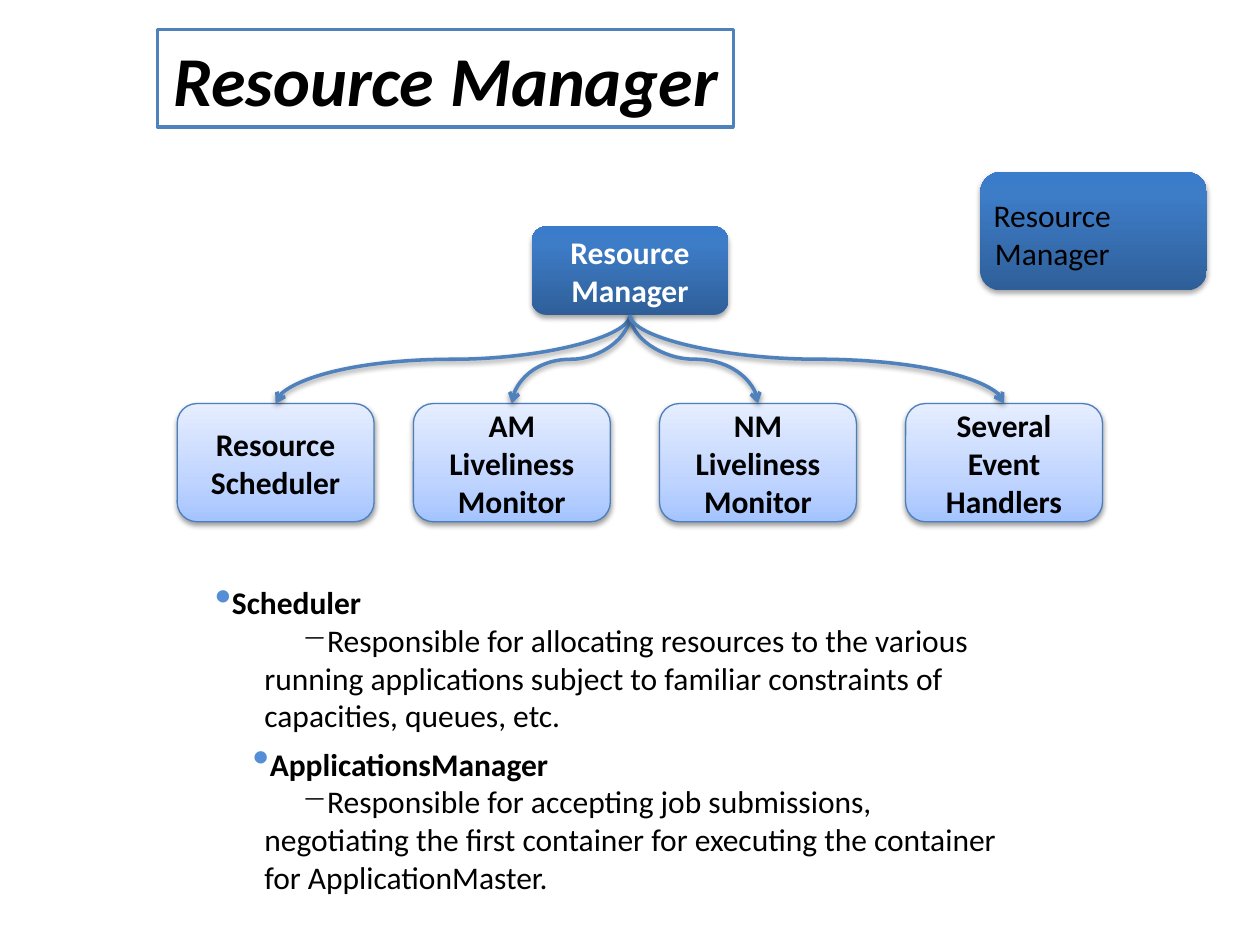
from lxml.etree import SubElement
from pptx import Presentation
from pptx.dml.color import RGBColor
from pptx.enum.shapes import MSO_CONNECTOR as Link, MSO_SHAPE as Preset
from pptx.enum.text import MSO_ANCHOR as Anchor, MSO_AUTO_SIZE as Fit, PP_ALIGN as Align
from pptx.oxml.ns import qn
from pptx.util import Inches, Pt

color = RGBColor.from_string
prs = Presentation()
prs.slide_width, prs.slide_height = Inches(10), Inches(7.5)
slide = prs.slides.add_slide(prs.slide_layouts[6])
UNIT = prs.slide_width / 128  # square grid, 128 columns by 96 rows


def cells(*counts):
    return [round(count * UNIT) for count in counts]


def add_shadow(properties, alpha, distance):
    """Replace any effects with a soft black shadow that falls straight down."""
    for old in properties.findall(qn("a:effectLst")):
        properties.remove(old)
    effects = SubElement(properties, qn("a:effectLst"))
    outer = SubElement(effects, qn("a:outerShdw"), blurRad=str(Pt(3.1)),
                       dist=str(Pt(distance)), dir="5400000", rotWithShape="0")
    black = SubElement(outer, qn("a:srgbClr"), val="000000")
    SubElement(black, qn("a:alpha"), val=str(alpha * 1000))


def write(paragraph, text, size=18, ink="000000", bold=False, italic=False):
    run = paragraph.add_run()
    run.text = text
    font = run.font
    font.name, font.size, font.bold, font.italic = "Calibri", Pt(size), bold, italic
    font.color.rgb = color(ink)


# Title
title = slide.shapes.add_shape(Preset.RECTANGLE, *cells(16, 3, 58.5, 9.9))
title.shadow.inherit = False
title.fill.solid()
title.fill.fore_color.rgb = color("FFFFFF")
title.line.color.rgb = color("4F81BD")
title.line.width = Pt(2)
title.text_frame.word_wrap = False
title.text_frame.auto_size = Fit.SHAPE_TO_FIT_TEXT
title.text_frame.paragraphs[0].alignment = Align.CENTER
write(title.text_frame.paragraphs[0], "Resource Manager", 40, bold=True, italic=True)

# Manager, its components, and the badge at the right
DARK = [(0, "2F5F99"), (80, "3D7CC7"), (100, "3A7CCB")]
LIGHT = [(0, "A4C4FF"), (35, "BFD4FF"), (100, "E6EEFF")]
BLOCK_WIDTH, MANAGER_TOP, MANAGER_HEIGHT, COMPONENT_TOP = 20, 23, 9, 41
MANAGER_LEFT = 64 - BLOCK_WIDTH / 2
components = [(18, "Resource Scheduler"), (42, "AM Liveliness Monitor"),
              (67, "NM Liveliness Monitor"), (92, "Several Event Handlers")]
badge = slide.shapes.add_group_shape()
blocks = [(slide, (MANAGER_LEFT, MANAGER_TOP, BLOCK_WIDTH, MANAGER_HEIGHT), DARK, "Resource Manager"),
          (badge, (99.6, 17.5, 23, 12), DARK, "")]
blocks += [(slide, (left, COMPONENT_TOP, BLOCK_WIDTH, 12), LIGHT, name) for left, name in components]
for owner, place, stops, name in blocks:
    block = owner.shapes.add_shape(Preset.ROUNDED_RECTANGLE, *cells(*place))
    block.fill.gradient()
    block.fill.gradient_angle = 90
    properties = block._element.spPr
    stop_list = properties.find(".//" + qn("a:gsLst"))
    stop_list.clear()
    for position, tint in stops:
        stop = SubElement(stop_list, qn("a:gs"), pos=str(position * 1000))
        SubElement(stop, qn("a:srgbClr"), val=tint)
    if stops is DARK:
        block.line.fill.background()
        add_shadow(properties, 35, 1.8)
    else:
        block.line.color.rgb = color("4B7EBC")
        block.line.width = Pt(0.75)
        add_shadow(properties, 38, 1.6)
    if name:
        block.text_frame.word_wrap = True
        block.text_frame.vertical_anchor = Anchor.MIDDLE
        block.text_frame.paragraphs[0].alignment = Align.CENTER
        write(block.text_frame.paragraphs[0], name, ink="FFFFFF" if stops is DARK else "000000", bold=True)

badge_label = badge.shapes.add_textbox(*cells(99.6, 19.3, 14.6, 9.1)).text_frame
badge_label.word_wrap = False
badge_label.auto_size = Fit.SHAPE_TO_FIT_TEXT
for word, line in zip(("Resource", "Manager"), (badge_label.paragraphs[0], badge_label.add_paragraph())):
    line.alignment = Align.CENTER
    write(line, word)

# Curved arrows: laid out sideways around their middle, then turned upright
start_row = MANAGER_TOP + MANAGER_HEIGHT
drop = COMPONENT_TOP - start_row
middle_row = start_row + drop / 2
for left, name in components:
    reach = left + BLOCK_WIDTH / 2 - 64
    middle, half = 64 + reach / 2, abs(reach) / 2
    arrow = slide.shapes.add_connector(Link.CURVE, *cells(
        middle - drop / 2, middle_row - half, middle + drop / 2, middle_row + half))
    frame = arrow._element.spPr.find(qn("a:xfrm"))
    frame.set("rot", str((270 if reach > 0 else 90) * 60000))
    if reach > 0:
        frame.set("flipH", "1")
    arrow.line.color.rgb = color("4F81BD")
    arrow.line.width = Pt(2)
    SubElement(arrow.line._get_or_add_ln(), qn("a:tailEnd"), type="arrow")
    add_shadow(arrow._element.spPr, 38, 1.6)

# Explanations: (text, is a heading, margin, first-line indent, space after)
duties = [
    ("Scheduler", True, 0, 0, 0),
    ("Responsible for allocating resources to the various running applications subject to "
     "familiar constraints of capacities, queues, etc.", False, 0.39, 0.3, 6),
    ("ApplicationsManager", True, 0, 0.3, 0),
    ("Responsible for accepting job submissions, negotiating the first container for executing "
     "the container for ApplicationMaster.", False, 0.39, 0.3, 0),
]
notes = slide.shapes.add_textbox(*cells(20.6, 58.6, 84, 33.4)).text_frame
notes.word_wrap = True
notes.auto_size = Fit.SHAPE_TO_FIT_TEXT
for index, (text, heading, margin, indent, after) in enumerate(duties):
    paragraph = notes.add_paragraph() if index else notes.paragraphs[0]
    settings = paragraph._p.get_or_add_pPr()
    settings.set("marL", str(Inches(margin)))
    settings.set("indent", str(Inches(indent)))
    if heading:
        SubElement(SubElement(settings, qn("a:buClr")), qn("a:srgbClr"), val="558ED5")
        SubElement(settings, qn("a:buSzPct"), val="150000")
    SubElement(settings, qn("a:buChar"), char="•" if heading else "─")
    paragraph.space_after = Pt(after)
    write(paragraph, text, bold=heading)

prs.save("out.pptx")
